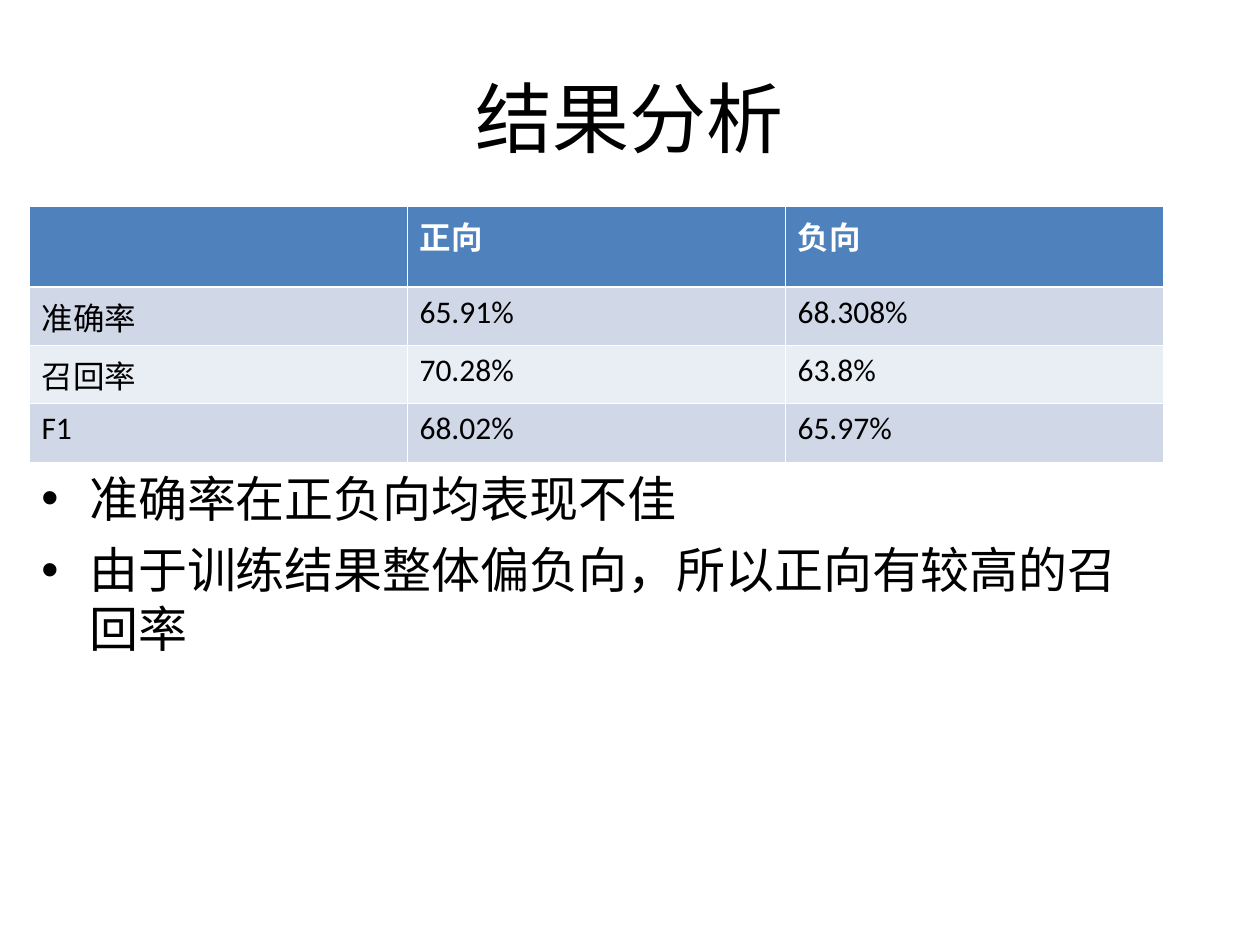
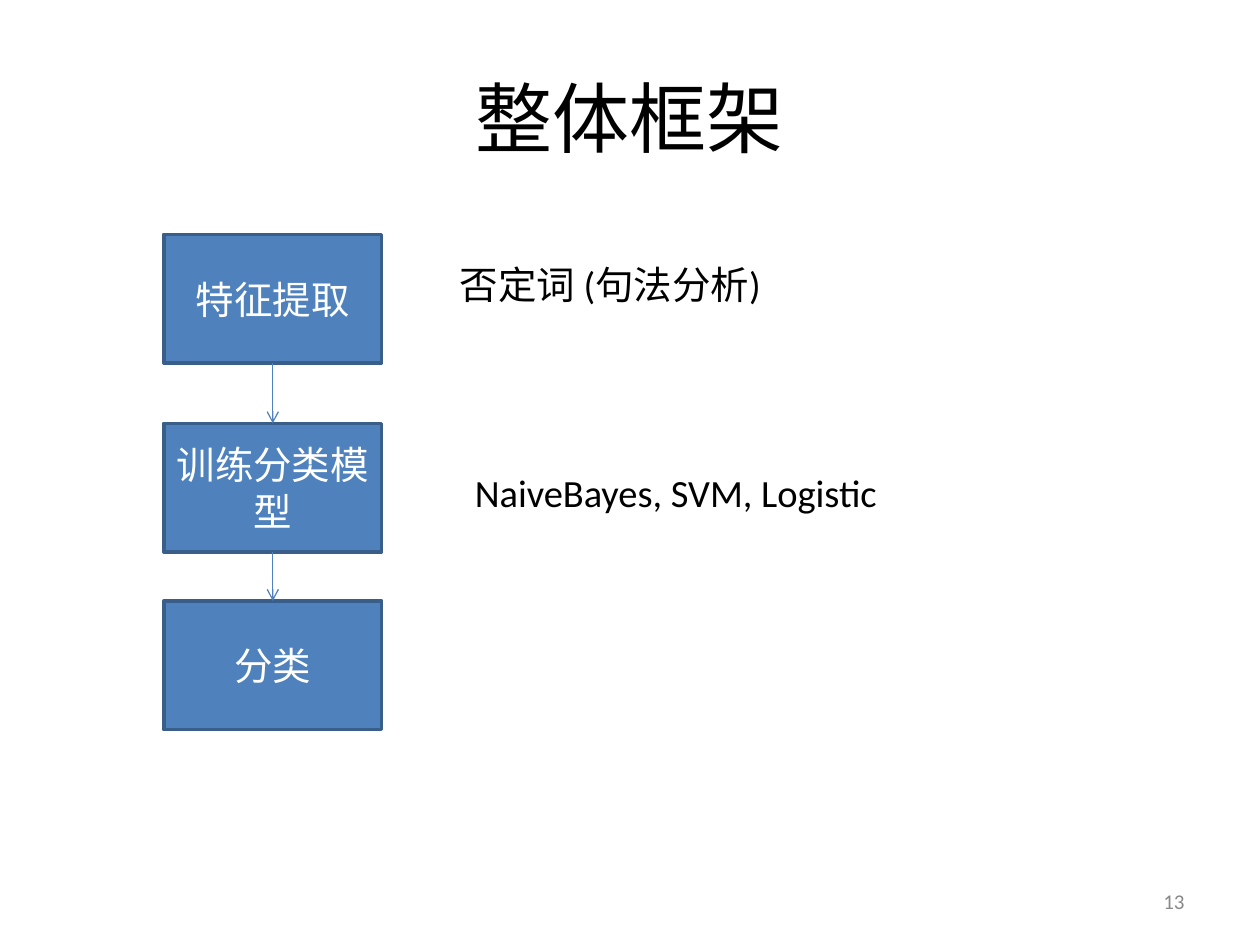
import pptx
import pptx.dml.color
import pptx.enum.shapes
import pptx.enum.text
import pptx.oxml
import pptx.oxml.ns
import pptx.util
from pptx.util import Inches

RGBColor = pptx.dml.color.RGBColor
Align = pptx.enum.text.PP_ALIGN
Anchor = pptx.enum.text.MSO_ANCHOR

BLACK = RGBColor(0x00, 0x00, 0x00)
WHITE = RGBColor(0xFF, 0xFF, 0xFF)
GRAY = RGBColor(0x89, 0x89, 0x89)
BLUE = RGBColor(0x4F, 0x81, 0xBD)
DARK_BLUE = RGBColor(0x39, 0x5E, 0x8A)
BAND_DARK = RGBColor(0xD0, 0xD8, 0xE8)
BAND_LIGHT = RGBColor(0xE9, 0xED, 0xF4)
FONT = "Calibri"
CJK_FONT = "Noto Sans CJK SC"


def append_xml(parent, tag, content="", attributes=""):
    namespace = pptx.oxml.ns.nsdecls("a")
    parent.append(pptx.oxml.parse_xml(f"<a:{tag} {namespace} {attributes}>{content}</a:{tag}>"))


class Deck:
    def __init__(self):
        self.presentation = pptx.Presentation()
        self.presentation.slide_width = Inches(10)
        self.presentation.slide_height = Inches(7.5)
        self.slide = None

    def add_slide(self, title):
        self.slide = self.presentation.slides.add_slide(self.presentation.slide_layouts[6])
        self.add_text([title], 0.5, 0.3, 9, 1.25, 44, align=Align.CENTER, anchor=Anchor.MIDDLE)

    def format_text(self, text_frame, size, color=BLACK, align=Align.LEFT, font=FONT, bold=False):
        for paragraph in text_frame.paragraphs:
            paragraph.alignment = align
            paragraph.font.size = pptx.util.Pt(size)
            for run in paragraph.runs:
                run.font.size = pptx.util.Pt(size)
                run.font.name = font
                run.font.bold = bold
                run.font.color.rgb = color

    def add_text(self, lines, left, top, width, height, size, color=BLACK,
                 align=Align.LEFT, anchor=Anchor.TOP, wrap=True):
        box = self.slide.shapes.add_textbox(Inches(left), Inches(top), Inches(width), Inches(height))
        text_frame = box.text_frame
        text_frame.word_wrap = wrap
        text_frame.vertical_anchor = anchor
        text_frame.text = "\n".join(lines)
        self.format_text(text_frame, size, color, align)
        return text_frame

    def add_bullets(self, lines, left, top, width, height, size):
        text_frame = self.add_text(lines, left, top, width, height, size)
        for paragraph in text_frame.paragraphs:
            paragraph.space_before = pptx.util.Pt(7)
            properties = paragraph._p.get_or_add_pPr()
            properties.set("marL", str(Inches(0.38)))
            properties.set("indent", str(-Inches(0.38)))
            append_xml(properties, "buFont", attributes='typeface="Arial"')
            append_xml(properties, "buChar", attributes='char="•"')

    def add_table(self, rows, left, top, column_width, row_heights):
        columns = len(rows[0])
        table = self.slide.shapes.add_table(
            len(rows), columns, Inches(left), Inches(top),
            Inches(column_width * columns), Inches(sum(row_heights))).table
        for column in table.columns:
            column.width = Inches(column_width)
        for row_index, values in enumerate(rows):
            table.rows[row_index].height = Inches(row_heights[row_index])
            header = row_index == 0
            band = BAND_DARK if row_index % 2 else BAND_LIGHT
            for column_index, value in enumerate(values):
                cell = table.cell(row_index, column_index)
                cell.text_frame.text = value
                self.format_text(cell.text_frame, 18, WHITE if header else BLACK, bold=header)
                self.add_borders(cell, row_index)
                cell.fill.solid()
                cell.fill.fore_color.rgb = BLUE if header else band

    def add_borders(self, cell, row_index):
        thick_sides = {0: "B", 1: "T"}
        for side in "LRTB":
            points = 1.47 if thick_sides.get(row_index) == side else 0.45
            append_xml(cell._tc.get_or_add_tcPr(), f"ln{side}",
                       f'<a:solidFill><a:srgbClr val="{WHITE}"/></a:solidFill>',
                       f'w="{pptx.util.Pt(points)}"')

    def add_box(self, text, left, top, width, height, font):
        shape = self.slide.shapes.add_shape(
            pptx.enum.shapes.MSO_SHAPE.RECTANGLE,
            Inches(left), Inches(top), Inches(width), Inches(height))
        shape.shadow.inherit = False
        shape.fill.solid()
        shape.fill.fore_color.rgb = BLUE
        shape.line.color.rgb = DARK_BLUE
        shape.line.width = pptx.util.Pt(2)
        shape.text_frame.word_wrap = True
        shape.text_frame.vertical_anchor = Anchor.MIDDLE
        shape.text_frame.text = text
        self.format_text(shape.text_frame, 22, WHITE, Align.CENTER, font)

    def add_arrow(self, x, top, bottom):
        connector = self.slide.shapes.add_connector(
            pptx.enum.shapes.MSO_CONNECTOR.STRAIGHT,
            Inches(x), Inches(top), Inches(x), Inches(bottom))
        connector.line.color.rgb = BLUE
        connector.line.width = pptx.util.Pt(0.75)
        append_xml(connector.line._get_or_add_ln(), "tailEnd", attributes='type="arrow"')
        append_xml(connector._element.spPr, "effectLst")

    def add_page_number(self, number):
        self.add_text([number], 7.17, 6.95, 2.33, 0.4, 12, GRAY, Align.RIGHT, Anchor.MIDDLE)


def build_results(deck):
    deck.add_slide("结果分析")
    rows = [
        ("", "正向", "负向"),
        ("准确率", "65.91%", "68.308%"),
        ("召回率", "70.28%", "63.8%"),
        ("F1", "68.02%", "65.97%"),
    ]
    deck.add_table(rows, 0.23, 1.64, 3, [0.64, 0.46, 0.46, 0.47])
    deck.add_bullets(["准确率在正负向均表现不佳", "由于训练结果整体偏负向，所以正向有较高的召回率"],
                     0.23, 3.67, 9, 2.71, 28)


def build_framework(deck):
    deck.add_slide("整体框架")
    deck.add_page_number("13")
    left, width, height = 1.3, 1.73, 1.02
    steps = [("特征提取", 1.86, FONT), ("训练分类模型", 3.36, FONT), ("分类", 4.77, CJK_FONT)]
    for text, top, font in steps:
        deck.add_box(text, left, top, width, height, font)
    for (_, top, _), (_, next_top, _) in zip(steps, steps[1:]):
        deck.add_arrow(left + width / 2, top + height, next_top)
    deck.add_text(["否定词 (句法分析)"], 3.55, 2.02, 2.81, 0.47, 22, wrap=False)
    deck.add_text(["NaiveBayes, SVM, Logistic"], 3.67, 3.67, 3.41, 0.47, 22, wrap=False)


def main():
    deck = Deck()
    build_results(deck)
    build_framework(deck)
    deck.presentation.save("out.pptx")


if __name__ == "__main__":
    main()
